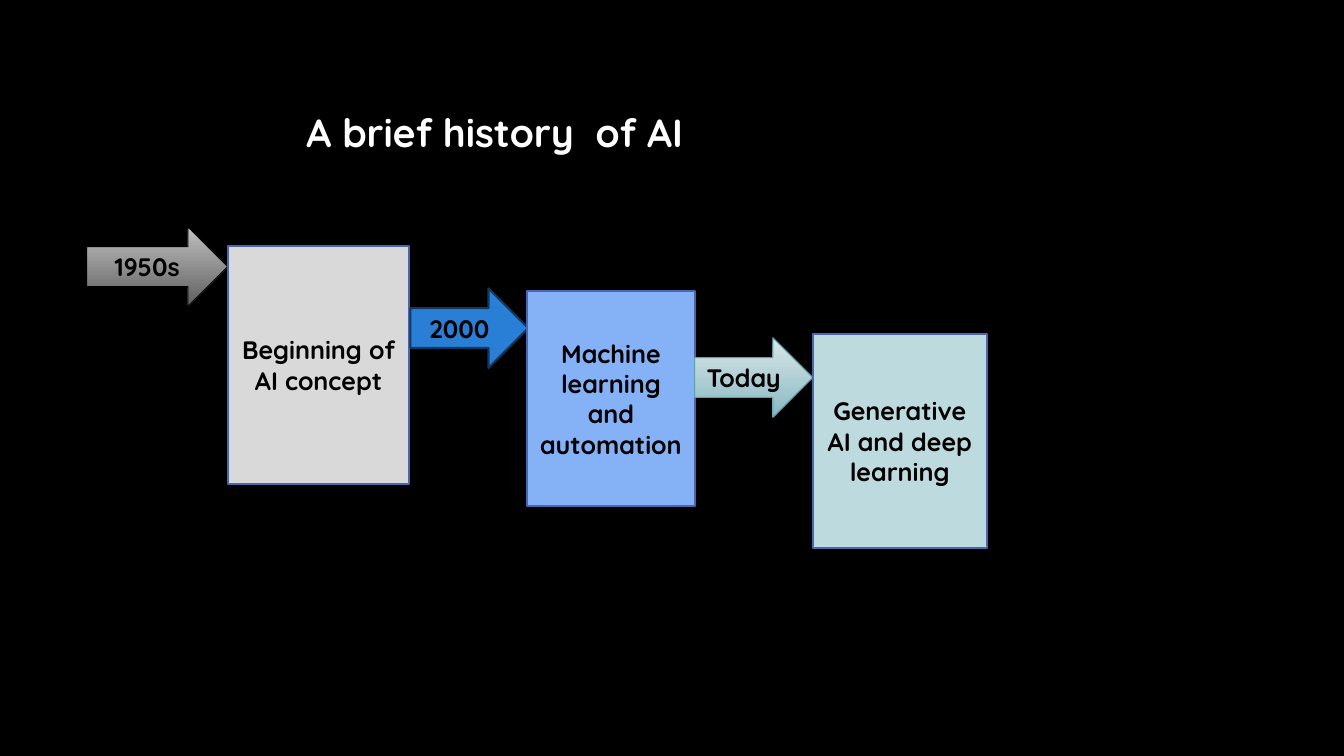
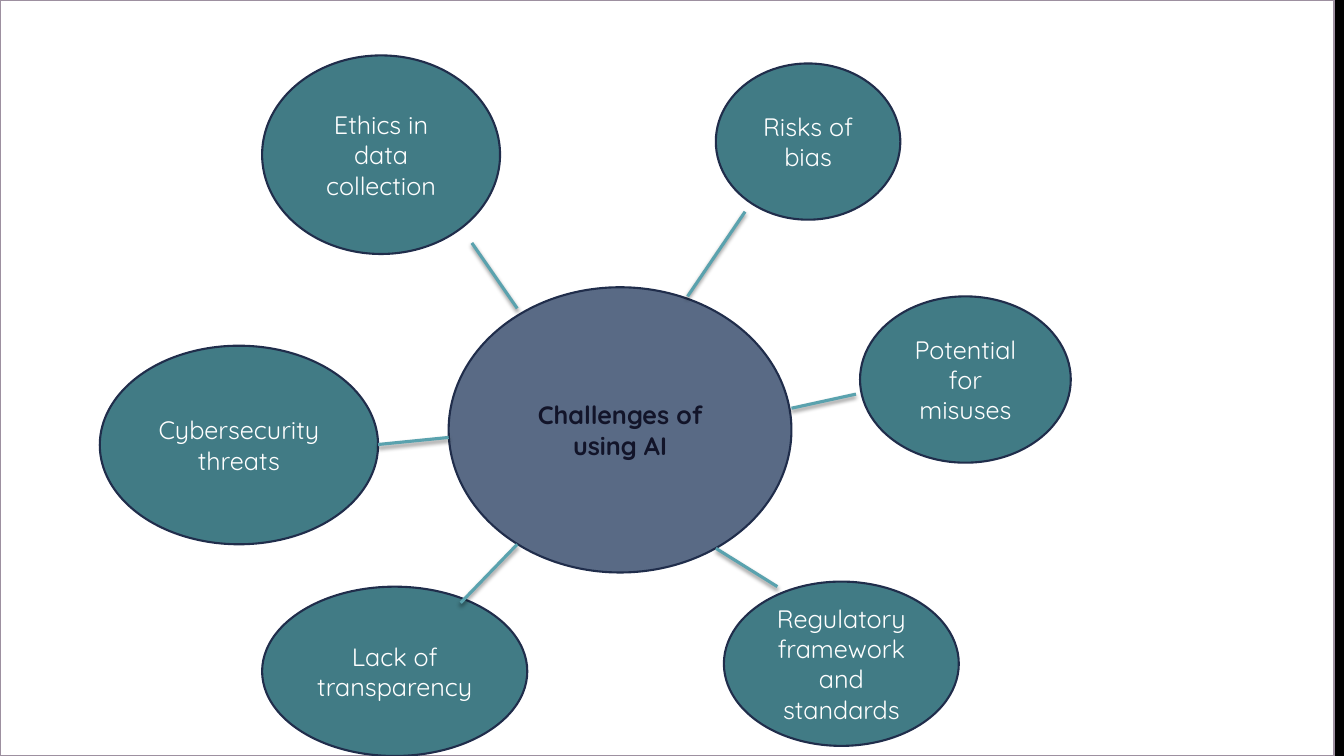
from dataclasses import dataclass

from lxml import etree
from pptx import Presentation
from pptx.dml.color import RGBColor
from pptx.enum import shapes, text
from pptx.oxml import ns
from pptx.util import Inches, Pt


@dataclass(frozen=True)
class Theme:
    font: str = "Quicksand"
    title_size: int = 28
    body_size: int = 18
    outline: float = 1.5
    thin_outline: float = 0.75
    spoke_width: float = 2.25
    black: str = "000000"
    white: str = "FFFFFF"
    frame: str = "9D90A0"
    box_line: str = "4A66AC"
    hub: str = "596A85"
    hub_text: str = "121429"
    bubble: str = "417B85"
    bubble_line: str = "202D4B"
    teal: str = "5AA2AE"


THEME = Theme()
rgb = RGBColor.from_string


def add_block(page, kind, place, fills, line, width=THEME.outline,
              label="", color=THEME.black, bold=False):
    """Add a labelled shape; two fills give a gradient from top to bottom."""
    block = page.shapes.add_shape(kind, *map(Inches, place))
    block.shadow.inherit = False
    if len(fills) == 2:
        block.fill.gradient()
        block.fill.gradient_angle = 270
        for stop, shade in zip(block.fill.gradient_stops, fills):
            stop.color.rgb = rgb(shade)
    else:
        block.fill.solid()
        block.fill.fore_color.rgb = rgb(fills[0])
    block.line.color.rgb = rgb(line)
    block.line.width = Pt(width)
    if label:
        block.text_frame.vertical_anchor = text.MSO_ANCHOR.MIDDLE
        write(block, label, THEME.body_size, color, bold, text.PP_ALIGN.CENTER)


def write(box, words, size, color, bold, align):
    box.text_frame.word_wrap = True
    para = box.text_frame.paragraphs[0]
    para.text = words
    para.alignment = align
    para.font.name = THEME.font
    para.font.size = Pt(size)
    para.font.bold = bold
    para.font.color.rgb = rgb(color)


deck = Presentation()
deck.slide_width, deck.slide_height = Inches(13.33), Inches(7.5)
pages = []
for number in range(2):
    page = deck.slides.add_slide(deck.slide_layouts[6])
    page.background.fill.solid()
    page.background.fill.fore_color.rgb = rgb(THEME.black)
    pages.append(page)
history, challenges = pages

# History: each era is a dated arrow leading into a box
RECT, ARROW = shapes.MSO_SHAPE.RECTANGLE, shapes.MSO_SHAPE.RIGHT_ARROW
eras = [
    ("1950s", (0.86, 2.25, 1.4, 0.79), ("C1C1C1", "5E5E5E"), THEME.black, THEME.thin_outline,
     "Beginning of AI concept", (2.26, 2.44, 1.8, 2.36), "D9D9D9"),
    ("2000", (4.07, 2.86, 1.17, 0.79), ("297FD5",), "12385D", THEME.outline,
     "Machine learning and automation", (5.23, 2.89, 1.66, 2.13), "85B2F6"),
    ("Today", (6.89, 3.35, 1.17, 0.79), ("DAE7E9", "88B8C1"), THEME.teal, THEME.thin_outline,
     "Generative AI and deep learning", (8.06, 3.31, 1.73, 2.13), "BDDADF"),
]
for date, arrow_place, arrow_fills, arrow_line, arrow_width, event, box_place, box_fill in eras:
    add_block(history, ARROW, arrow_place, arrow_fills, arrow_line, arrow_width,
              label=date, bold=True)
    add_block(history, RECT, box_place, (box_fill,), THEME.box_line, label=event, bold=True)

title = history.shapes.add_textbox(Inches(2.94), Inches(1.03), Inches(6.66), Inches(0.57))
title.text_frame.auto_size = text.MSO_AUTO_SIZE.SHAPE_TO_FIT_TEXT
write(title, "A brief history  of AI", THEME.title_size, THEME.white, True, text.PP_ALIGN.LEFT)

# Challenges: a hub with six bubbles, each with its spoke
CIRCLE = shapes.MSO_SHAPE.FLOWCHART_CONNECTOR
add_block(challenges, RECT, (0, 0, 13.23, 7.5), (THEME.white,), THEME.frame)
add_block(challenges, CIRCLE, (4.45, 2.85, 3.4, 2.83), (THEME.hub,), THEME.bubble_line,
          label="Challenges of using AI", color=THEME.hub_text, bold=True)

bubbles = [
    ("Risks of bias", (7.1, 0.63, 1.83, 1.55), (7.39, 2.1, 6.82, 2.94)),
    ("Potential for misuses", (8.53, 2.94, 2.09, 1.65), (8.49, 3.91, 7.85, 4.05)),
    ("Regulatory framework and standards", (7.18, 5.77, 2.33, 1.63), (7.71, 5.82, 7.1, 5.44)),
    ("Ethics in data collection", (2.6, 0.55, 2.36, 1.97), (4.68, 2.41, 5.13, 3.06)),
    ("Cybersecurity threats", (0.99, 3.43, 2.76, 1.97), (3.75, 4.41, 4.45, 4.34)),
    ("Lack of transparency", (2.6, 5.82, 2.63, 1.68), (4.57, 5.98, 5.13, 5.4)),
]
for challenge, place, ends in bubbles:
    add_block(challenges, CIRCLE, place, (THEME.bubble,), THEME.bubble_line,
              label=challenge, color=THEME.white)
    spoke = challenges.shapes.add_connector(shapes.MSO_CONNECTOR.STRAIGHT, *map(Inches, ends))
    spoke.line.color.rgb = rgb(THEME.teal)
    spoke.line.width = Pt(THEME.spoke_width)
    effects = etree.SubElement(spoke._element.spPr, ns.qn("a:effectLst"))
    shadow = etree.SubElement(effects, ns.qn("a:outerShdw"), blurRad=str(Pt(3)),
                              dist=str(Pt(2)), dir="5400000", rotWithShape="0")
    shade = etree.SubElement(shadow, ns.qn("a:srgbClr"), val=THEME.black)
    etree.SubElement(shade, ns.qn("a:alpha"), val="45000")

deck.save("out.pptx")
